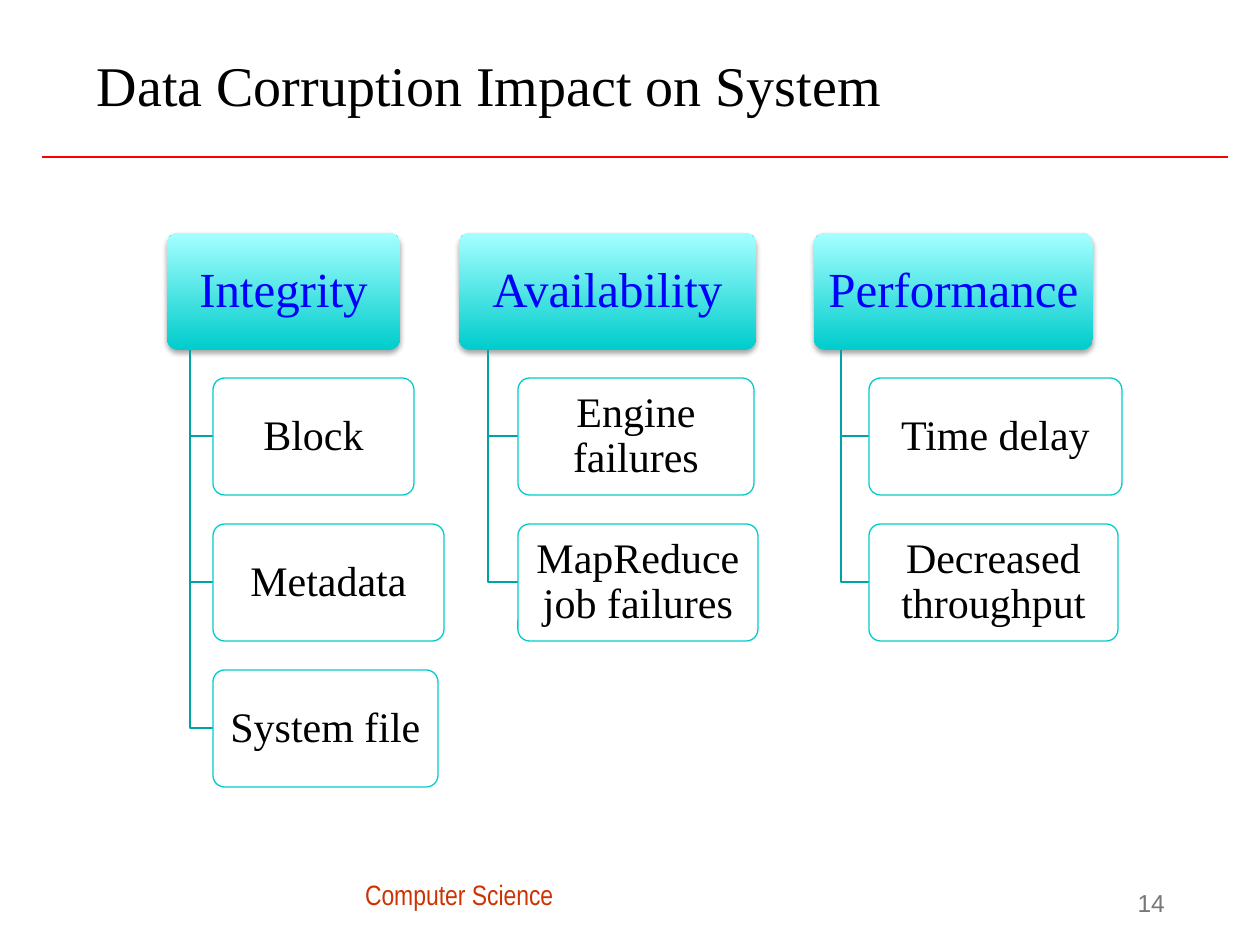
import pptx
import pptx.util
import pptx.dml.color
import pptx.enum.shapes
import pptx.enum.text
import pptx.oxml

COLORS = {"title": "000000", "rule": "FF0000", "footer": "CC3300", "number": "777777",
          "head": "0000FF", "dark": "00CCCC", "light": "A5FFFF", "elbow": "00A3A3",
          "item": "000000", "box": "FFFFFF"}
RGB = {k: pptx.dml.color.RGBColor.from_string(v) for k, v in COLORS.items()}
ALIGN = pptx.enum.text.PP_ALIGN
MIDDLE = pptx.enum.text.MSO_ANCHOR.MIDDLE
ROUNDED = pptx.enum.shapes.MSO_SHAPE.ROUNDED_RECTANGLE
NS = 'xmlns:a="http://schemas.openxmlformats.org/drawingml/2006/main"'
SHADOW = (f'<a:outerShdw {NS} blurRad="39370" dist="22860" dir="5400000" rotWithShape="0">'
          '<a:srgbClr val="000000"><a:alpha val="35000"/></a:srgbClr></a:outerShdw>')


def px(n):
    return pptx.util.Emu(round(n * 914400 / 126))


def write(sp, text, size, font, color, align, mx, my, anchor=MIDDLE):
    tf = sp.text_frame
    tf.word_wrap = True
    tf.auto_size = pptx.enum.text.MSO_AUTO_SIZE.NONE
    tf.vertical_anchor = anchor
    tf.margin_left = tf.margin_right = px(mx)
    tf.margin_top = tf.margin_bottom = px(my)
    p = tf.paragraphs[0]
    p.text = text
    p.alignment = align
    p.font.size = pptx.util.Pt(size)
    p.font.name = font
    p.font.color.rgb = RGB[color]
    return p


prs = pptx.Presentation()
prs.slide_width, prs.slide_height = px(1260), px(945)
s = prs.slides.add_slide(prs.slide_layouts[5])

title = s.shapes.title
title.left, title.top, title.width, title.height = px(84), px(21), px(1135), px(126)
write(title, "Data Corruption Impact on System", 32, "Times New Roman", "title", ALIGN.LEFT, 13, 13)

footer = s.shapes.add_textbox(px(352), px(872), px(220), px(47))
write(footer, "Computer Science", 16, "Arial Narrow", "footer", ALIGN.LEFT, 13, 6,
      pptx.enum.text.MSO_ANCHOR.TOP)
number = s.shapes.add_textbox(px(916), px(882), px(262), px(42))
write(number, "14", 14, "Arial", "number", ALIGN.RIGHT, 13, 6)

rule = s.shapes.add_connector(pptx.enum.shapes.MSO_CONNECTOR.STRAIGHT,
                              px(42), px(157), px(1228), px(157))
rule.line.color.rgb = RGB["rule"]
rule.line.width = pptx.util.Pt(1.5)
rule._element.spPr.append(pptx.oxml.parse_xml(f"<a:effectLst {NS}/>"))

TOP, BOX_H, PITCH = 233, 117, 146
columns = [
    ("Integrity", 167, 233, [("Block", 201), ("Metadata", 231), ("System file", 225)]),
    ("Availability", 459, 297, [("Engine failures", 236), ("MapReduce job failures", 240)]),
    ("Performance", 814, 279, [("Time delay", 253), ("Decreased throughput", 249)]),
]

for heading, left, width, items in columns:
    sp = s.shapes.add_shape(ROUNDED, px(left), px(TOP), px(width), px(BOX_H))
    sp.adjustments[0] = 0.1
    sp.fill.gradient()
    sp.fill.gradient_angle = 90
    for stop, color in zip(sp.fill.gradient_stops, ("dark", "light")):
        stop.color.rgb = RGB[color]
    sp.line.fill.background()
    sp.shadow.inherit = False
    sp._element.spPr[-1].append(pptx.oxml.parse_xml(SHADOW))
    p = write(sp, heading, 28, "Times New Roman", "head", ALIGN.CENTER, 8, 5)
    p.line_spacing = 0.9

    trunk, item_left = left + width // 10, left + width // 5
    for i, (text, item_width) in enumerate(items, 1):
        top = TOP + i * PITCH - 1
        mid = top + BOX_H // 2
        fb = s.shapes.build_freeform(px(trunk), px(TOP + BOX_H))
        fb.add_line_segments([(px(trunk), px(mid)), (px(item_left), px(mid))], close=False)
        elbow = fb.convert_to_shape()
        elbow.fill.background()
        elbow.line.color.rgb = RGB["elbow"]
        elbow.line.width = pptx.util.Pt(0.75)
        elbow.shadow.inherit = False

        sp = s.shapes.add_shape(ROUNDED, px(item_left), px(top), px(item_width), px(BOX_H))
        sp.adjustments[0] = 0.1
        sp.fill.solid()
        sp.fill.fore_color.rgb = RGB["box"]
        sp.line.color.rgb = RGB["dark"]
        sp.line.width = pptx.util.Pt(0.75)
        sp.shadow.inherit = False
        p = write(sp, text, 24, "Times New Roman", "item", ALIGN.CENTER, 6, 4)
        p.line_spacing = 0.9

prs.save("out.pptx")
